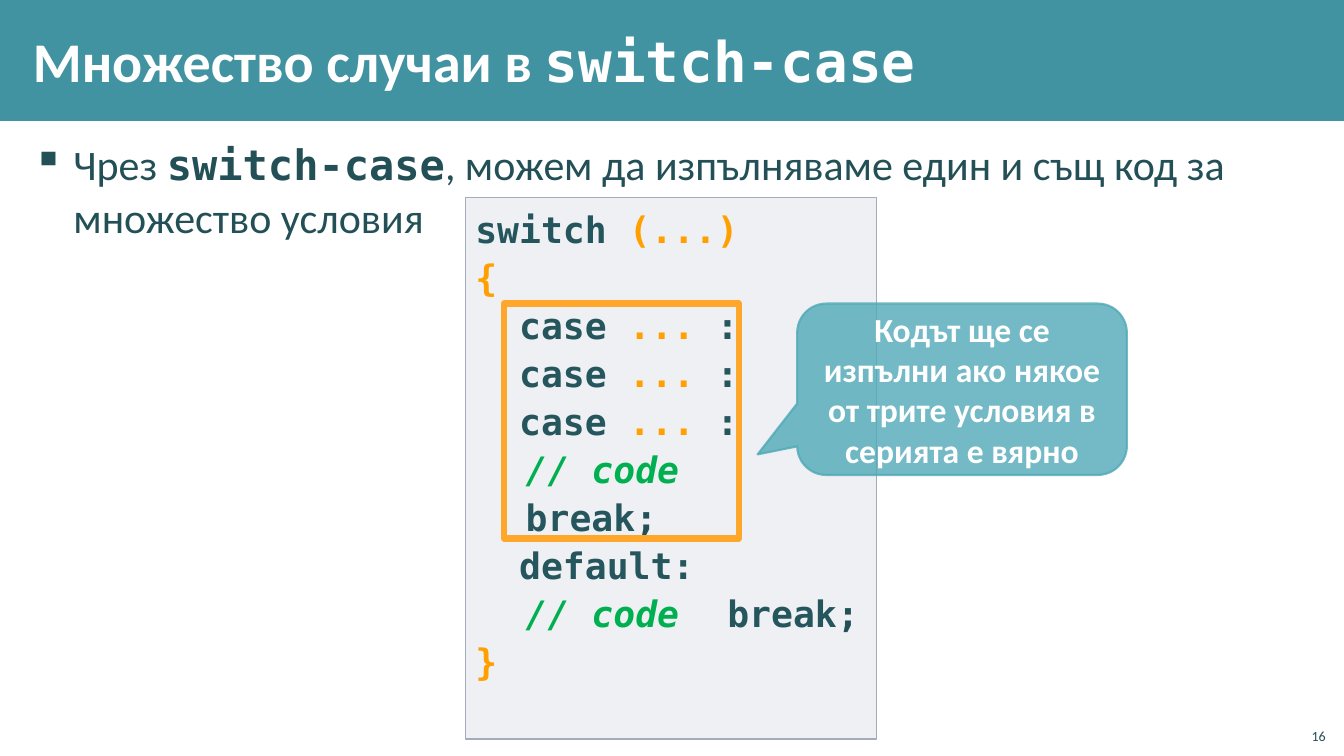
from lxml.etree import SubElement as Sub
from pptx import Presentation as Deck
from pptx.dml.color import RGBColor as Rgb
from pptx.enum.shapes import MSO_SHAPE as Kind
from pptx.enum.text import MSO_ANCHOR as Anchor, MSO_AUTO_SIZE as Fit, PP_ALIGN as Align
from pptx.oxml.ns import qn
from pptx.util import Cm, Pt

COLORS = {
    "teal": "4193A1", "ink": "235057", "code": "25565E", "gold": "FFA000",
    "note": "00B050", "white": "FFFFFF", "panel": "C2C7D2", "edge": "A3ABBC",
    "frame": "FFA72A", "call": "50A9B8",
}
SANS, MONO = "Calibri", "DejaVu Sans Mono"


class Slide:
    """Holds the style and the current slide, and draws its elements."""

    def __init__(self, deck):
        self.page = deck.slides.add_slide(deck.slide_layouts[6])

    def paint(self, fill, name, alpha):
        fill.solid()
        fill.fore_color.rgb = Rgb.from_string(COLORS[name])
        if alpha < 100:
            color = fill._xPr.find(qn("a:solidFill"))[0]
            Sub(color, qn("a:alpha"), val=str(alpha * 1000))

    def shape(self, kind, spot, fill=None, line=None, width=1, alpha=100, rim=100):
        item = self.page.shapes.add_shape(kind, *map(Cm, spot))
        item.shadow.inherit = False
        if fill:
            self.paint(item.fill, fill, alpha)
        else:
            item.fill.background()
        if line:
            item.line.width = Pt(width)
            self.paint(item.line.fill, line, rim)
        else:
            item.line.fill.background()
        return item

    def box(self, spot):
        return self.page.shapes.add_textbox(*map(Cm, spot))

    def frame(self, item, anchor=Anchor.TOP, side=0.25, top=0.13):
        text = item.text_frame
        text.word_wrap = True
        text.vertical_anchor = anchor
        text.margin_left = text.margin_right = Cm(side)
        text.margin_top = text.margin_bottom = Cm(top)
        return text

    def para(self, text, first=True, align=Align.LEFT, space=1.0, left=0, hang=0):
        para = text.paragraphs[0] if first else text.add_paragraph()
        para.alignment = align
        para.line_spacing = space
        props = para._p.get_or_add_pPr()
        props.set("marL", str(Cm(left)))
        props.set("indent", str(Cm(-hang)))
        return para

    def bullet(self, para, mark):
        Sub(para._p.get_or_add_pPr(), qn("a:buChar"), char=mark)

    def run(self, para, words, size, color, face=SANS, bold=False, slant=False):
        run = para.add_run()
        run.text = words
        font = run.font
        font.size, font.name, font.bold, font.italic = Pt(size), face, bold, slant
        font.color.rgb = Rgb.from_string(COLORS[color])

    def code(self, spot, lines):
        item = self.shape(Kind.RECTANGLE, spot, "panel", "edge", alpha=25)
        text = self.frame(item)
        text.auto_size = Fit.SHAPE_TO_FIT_TEXT
        for row, line in enumerate(lines):
            para = self.para(text, row == 0, space=1.1, hang=1.27)
            for words, color in line:
                self.run(para, words, 26, color, MONO, True, color == "note")


def main():
    deck = Deck()
    deck.slide_width, deck.slide_height = Cm(33.87), Cm(19.05)
    slide = Slide(deck)

    slide.shape(Kind.RECTANGLE, (0, 0, 33.87, 3.05), "teal")

    text = slide.frame(slide.box((0.53, 3.33, 32.82, 15.44)), side=0.3, top=0.1)
    para = slide.para(text, space=1.05, left=1.02, hang=1.02)
    para.space_after = Pt(6)
    slide.bullet(para, "▪")
    slide.run(para, "Чрез ", 30, "ink")
    slide.run(para, "switch-case", 30, "ink", MONO, True)
    slide.run(para, ", можем да изпълняваме един и същ код за множество условия", 30, "ink")

    text = slide.frame(slide.box((0.53, 0.28, 27.2, 2.46)), Anchor.MIDDLE, 0.3, 0.1)
    para = slide.para(text)
    slide.run(para, "Множество случаи в ", 40, "white", bold=True)
    slide.run(para, "switch-case", 40, "white", MONO, True)

    cases = [
        [("  " + word, "code"), ("... ", "gold"), (":", "code")]
        for word in ("case ", "case ", "casе ")
    ]
    slide.code((11.73, 4.98, 10.36, 13.64), [
        [("switch ", "code"), ("(...)", "gold")],
        [("{", "gold")],
        *cases,
        [("\t// code", "note")],
        [("\tbreak", "code"), (";", "ink")],
        [("  default:", "code")],
        [("\t// code \t", "note"), ("break", "code"), (";", "ink")],
        [("}", "gold")],
    ])
    slide.shape(Kind.RECTANGLE, (12.7, 7.65, 5.92, 5.92), line="frame", width=4.5)

    call = slide.shape(Kind.ROUNDED_RECTANGULAR_CALLOUT, (20.09, 7.65, 8.31, 4.32),
                       "call", "call", 1.5, 80, 80)
    for spot, value in enumerate((-0.62, 0.38, 0.17)):
        call.adjustments[spot] = value
    para = slide.para(slide.frame(call, Anchor.MIDDLE), align=Align.CENTER)
    slide.run(para, "Кодът ще се изпълни ако някое от трите условия в серията е вярно",
              24, "white", bold=True)

    text = slide.frame(slide.box((32.64, 18.08, 1.02, 0.81)), Anchor.BOTTOM)
    slide.run(slide.para(text, align=Align.RIGHT), "16", 10, "ink")

    deck.save("out.pptx")


if __name__ == "__main__":
    main()
